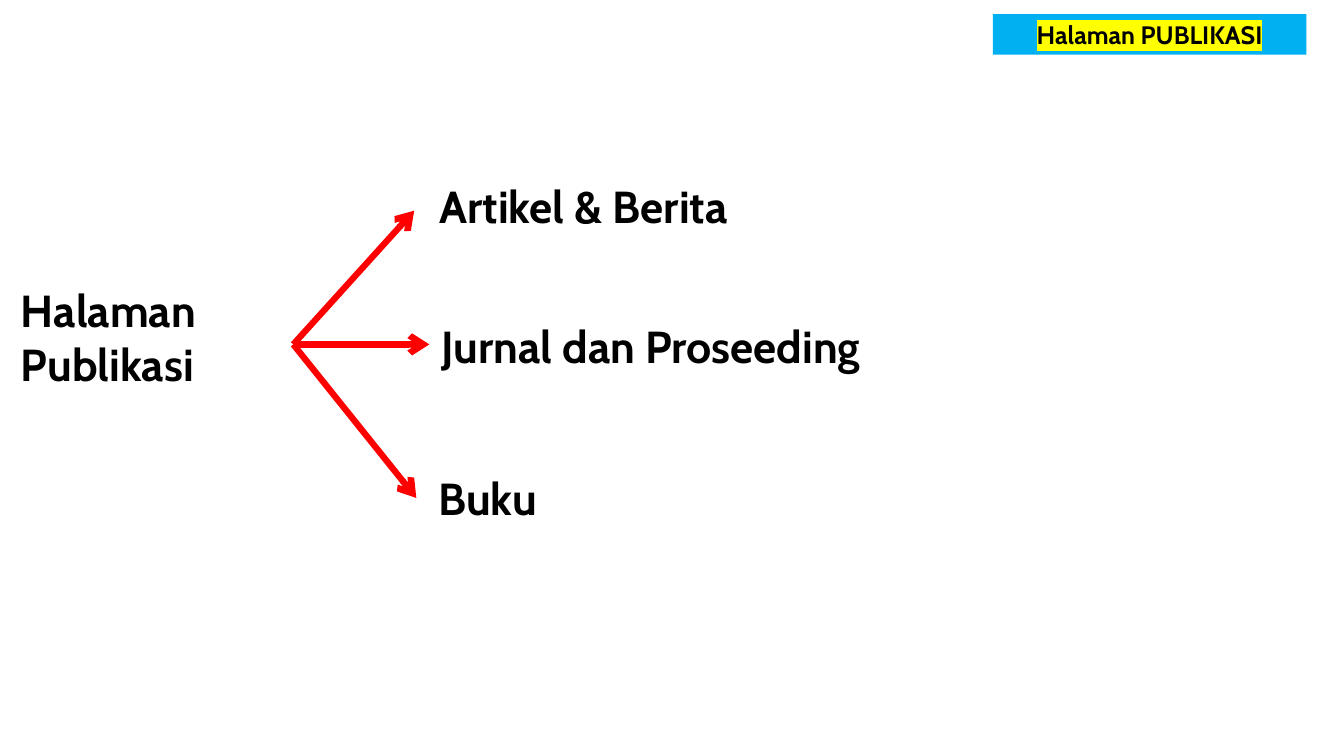
"""Builds the slide that branches the publication page into its three sections."""
from lxml.etree import SubElement
from pptx import Presentation
from pptx.dml.color import RGBColor
from pptx.enum.shapes import MSO_CONNECTOR as Connector, MSO_SHAPE as Shape
from pptx.enum.text import MSO_ANCHOR as Anchor, MSO_AUTO_SIZE as AutoSize, PP_ALIGN as Align
from pptx.oxml.ns import qn
from pptx.util import Pt

COLORS = {"text": "000000", "banner": "00B0F0", "highlight": "FFFF00", "arrow": "FF0000"}
FONT = "Cabin"
BANNER = ("Halaman PUBLIKASI", (709.2, 10.1, 223.9, 29))
ROOT = (["Halaman", "Publikasi"], (7.9, 198.7, 213.1, 85))
BRANCHES = [
    ("Artikel & Berita", (306.7, 123.8, 250.6, 46), (295.9, 150.5)),
    ("Jurnal dan Proseeding", (308.2, 223.9, 344.9, 46), (306.7, 246)),
    ("Buku", (306, 332.6, 287.3, 46), (297.4, 355.7)),
]
ARROW_START = (209.5, 246)


def color(name):
    return RGBColor.from_string(COLORS[name])


def lengths(values):
    return [Pt(value) for value in values]


def write(shape, lines, size, align=Align.LEFT):
    frame = shape.text_frame
    frame.word_wrap = True
    frame.auto_size = AutoSize.SHAPE_TO_FIT_TEXT
    frame.vertical_anchor = Anchor.TOP
    frame.text = "\n".join(lines)
    for paragraph in frame.paragraphs:
        paragraph.alignment = align
        font = paragraph.font
        font.name, font.size, font.bold = FONT, Pt(size), True
        font.color.rgb = color("text")


def add_label(slide, lines, box):
    write(slide.shapes.add_textbox(*lengths(box)), lines, 32)


def add_banner(slide, text, box):
    shape = slide.shapes.add_shape(Shape.RECTANGLE, *lengths(box))
    shape.shadow.inherit = False
    shape.fill.solid()
    shape.fill.fore_color.rgb = color("banner")
    shape.line.fill.background()
    write(shape, [text], 18, Align.CENTER)
    run = shape.text_frame.paragraphs[0].runs[0]
    run.font.color.rgb = color("text")
    highlight = SubElement(run.font._element, qn("a:highlight"))
    SubElement(highlight, qn("a:srgbClr"), val=COLORS["highlight"])


def add_arrow(slide, end):
    arrow = slide.shapes.add_connector(Connector.STRAIGHT, *lengths(ARROW_START + end))
    arrow.line.color.rgb = color("arrow")
    arrow.line.width = Pt(4.5)
    SubElement(arrow.line._get_or_add_ln(), qn("a:tailEnd"), type="arrow")
    SubElement(arrow._element.spPr, qn("a:effectLst"))


def main():
    presentation = Presentation()
    presentation.slide_width, presentation.slide_height = Pt(960), Pt(540)
    slide = presentation.slides.add_slide(presentation.slide_layouts[6])
    add_label(slide, *ROOT)
    add_banner(slide, *BANNER)
    for text, box, arrow_end in BRANCHES:
        add_arrow(slide, arrow_end)
        add_label(slide, [text], box)
    presentation.save("out.pptx")


if __name__ == "__main__":
    main()
